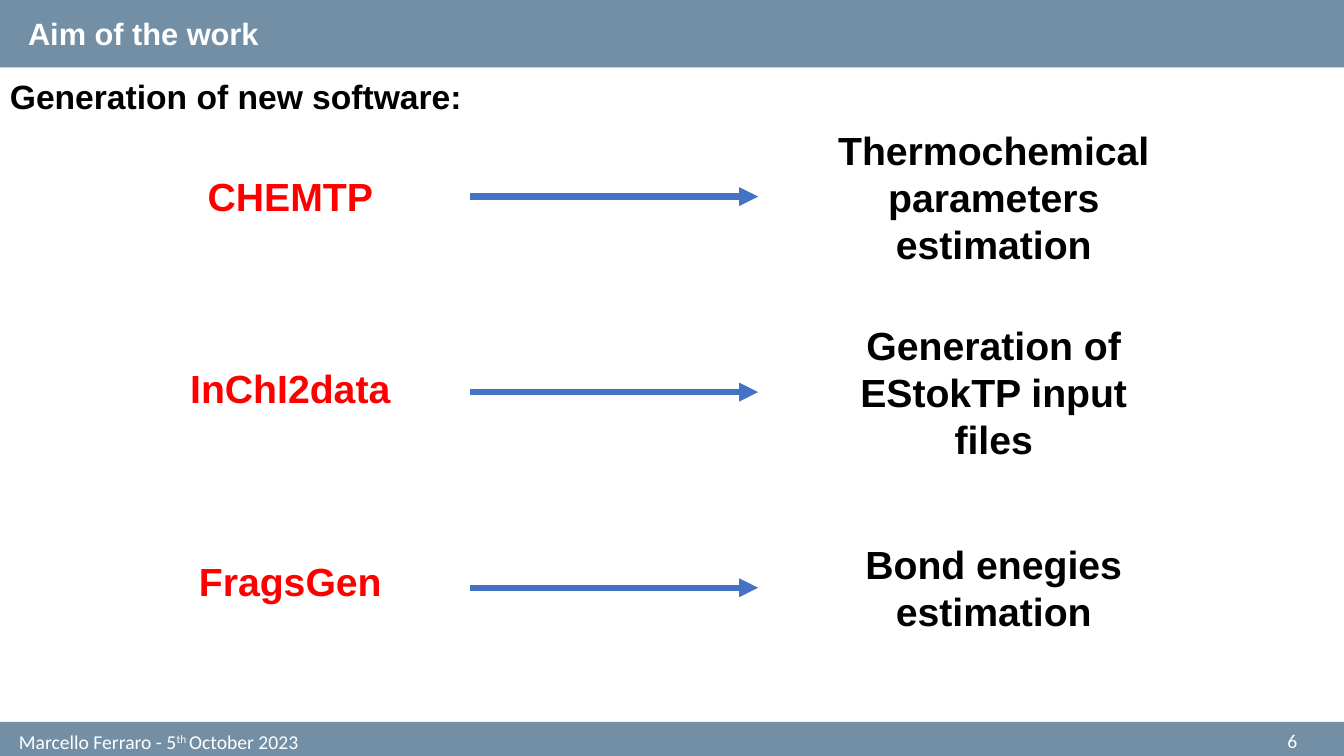
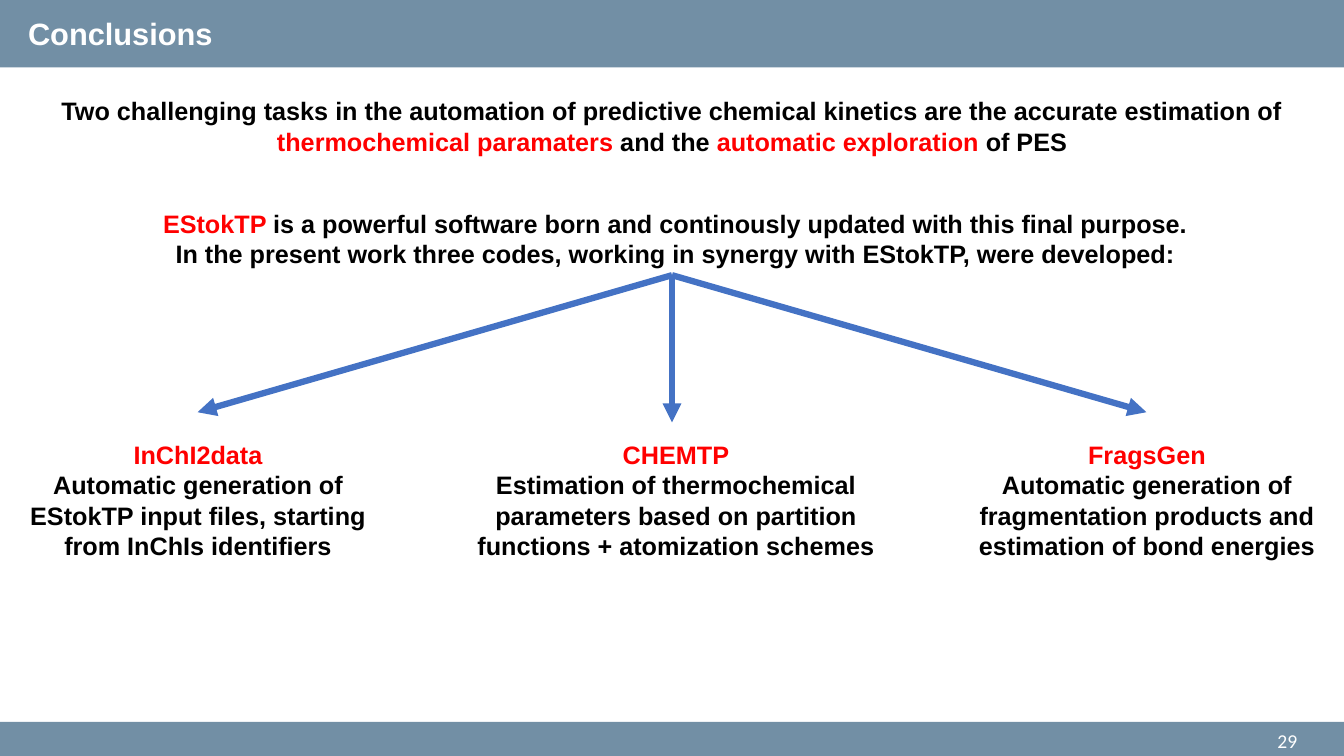
"""Build the aim and conclusions slides of a chemical kinetics talk."""
from lxml import etree
from pptx import Presentation
from pptx import util as u
from pptx.dml.color import RGBColor
from pptx.enum import shapes, text
from pptx.oxml.ns import qn

SLATE = RGBColor(0x72, 0x8F, 0xA5)
BLUE = RGBColor(0x44, 0x72, 0xC4)
RED = RGBColor(0xFF, 0x00, 0x00)
BLACK = RGBColor(0x00, 0x00, 0x00)
WHITE = RGBColor(0xFF, 0xFF, 0xFF)

LEFT, MID, RIGHT = text.PP_ALIGN.LEFT, text.PP_ALIGN.CENTER, text.PP_ALIGN.RIGHT
TOP, CORE = text.MSO_ANCHOR.TOP, text.MSO_ANCHOR.MIDDLE

HEAD = dict(name="Arial", size=u.Pt(22), bold=True)
FOOT = dict(name="Calibri", size=u.Pt(14))
BIG = dict(name="Arial", size=u.Pt(28), bold=True)
LEAD = dict(name="Arial", size=u.Pt(24), bold=True)
BODY = dict(name="Arial", size=u.Pt(18), bold=True)

deck = Presentation()
deck.slide_width, deck.slide_height = u.Inches(13.33), u.Inches(7.5)
COL, ROW = deck.slide_width / 100, deck.slide_height / 100


def write(page, area, lines, form, align=MID, ink=BLACK, hot=RED, anchor=TOP):
    """Add a text box, with the parts between asterisks in the hot colour."""
    x, y, w, h = area
    box = page.shapes.add_textbox(int(x * COL), int(y * ROW), int(w * COL), int(h * ROW))
    frame = box.text_frame
    frame.word_wrap, frame.vertical_anchor = True, anchor
    for i, line in enumerate(lines):
        para = frame.add_paragraph() if i else frame.paragraphs[0]
        para.alignment = align
        for j, part in enumerate(line.split("*")):
            if part:
                run = para.add_run()
                run.text = part
                for key, value in form.items():
                    setattr(run.font, key, value)
                run.font.color.rgb = hot if j % 2 else ink
    return frame


def arrow(page, x1, y1, x2, y2):
    """Add a thick blue arrow."""
    line = page.shapes.add_connector(
        shapes.MSO_CONNECTOR.STRAIGHT,
        int(x1 * COL), int(y1 * ROW), int(x2 * COL), int(y2 * ROW))
    line.line.color.rgb, line.line.width = BLUE, u.Pt(4.5)
    props = line._element.spPr
    etree.SubElement(props.find(qn("a:ln")), qn("a:tailEnd"), type="triangle")
    etree.SubElement(props, qn("a:effectLst"))


pages = []
for title, number in (("Aim of the work", "6"), ("Conclusions", "29")):
    page = deck.slides.add_slide(deck.slide_layouts[6])
    for y, h in ((95.47, 4.53), (0, 8.93)):
        band = page.shapes.add_shape(
            shapes.MSO_SHAPE.RECTANGLE, 0, int(y * ROW), deck.slide_width, int(h * ROW))
        band.shadow.inherit = False
        band.fill.solid()
        band.fill.fore_color.rgb = SLATE
        band.line.fill.background()
    write(page, (67.27, 95.33, 30, 5.33), [number], FOOT, RIGHT, WHITE, anchor=CORE)
    write(page, (1.35, 1.33, 97.8, 6.27), [title], HEAD, LEFT, WHITE)
    pages.append(page)
aim, end = pages

foot = write(aim, (0.67, 95.33, 30.83, 5.6), ["Marcello Ferraro - 5*th *October 2023"],
             FOOT, LEFT, WHITE, WHITE, CORE)
foot.paragraphs[0].runs[1]._r.get_or_add_rPr().set("baseline", "30000")
write(aim, (0, 9.33, 100, 6.67), ["Generation of new software:"], LEAD, LEFT)
goals = (
    ("CHEMTP", "Thermochemical parameters estimation"),
    ("InChI2data", "Generation of EStokTP input files"),
    ("FragsGen", "Bond enegies estimation"),
)
for i, (code, goal) in enumerate(goals):
    y = 26 + 25.87 * i
    write(aim, (11.6, 22.13 + 25.47 * i, 20, 7.6), [code], BIG, ink=RED)
    arrow(aim, 34.96, y, 56.41, y)
    write(aim, (60.77, y - 10, 26.33, 20), [goal], BIG, anchor=CORE)

write(end, (0, 12, 100, 9.47), [
    "Two challenging tasks in the automation of predictive chemical kinetics are the "
    "accurate estimation of *thermochemical paramaters *and the *automatic exploration *of PES",
], BODY)
write(end, (1.35, 26.93, 97.8, 9.47), [
    "*EStokTP *is a powerful software born and continously updated with this final purpose.",
    "In the present work three codes, working in synergy with EStokTP, were developed:",
], BODY)
codes = (
    (14.7, 54.53, 0.97, 27.53, "InChI2data",
     "Automatic generation of EStokTP input files, starting from InChIs identifiers"),
    (50, 55.87, 33.68, 33.23, "CHEMTP",
     "Estimation of thermochemical parameters based on partition functions + atomization schemes"),
    (85.3, 54.53, 71.57, 27.53, "FragsGen",
     "Automatic generation of fragmentation products and estimation of bond energies"),
)
for tipx, tipy, x, w, code, role in codes:
    arrow(end, 50, 36.4, tipx, tipy)
    write(end, (x, 57.47, w, 17.47), [f"*{code}*", role], BODY)

deck.save("out.pptx")
